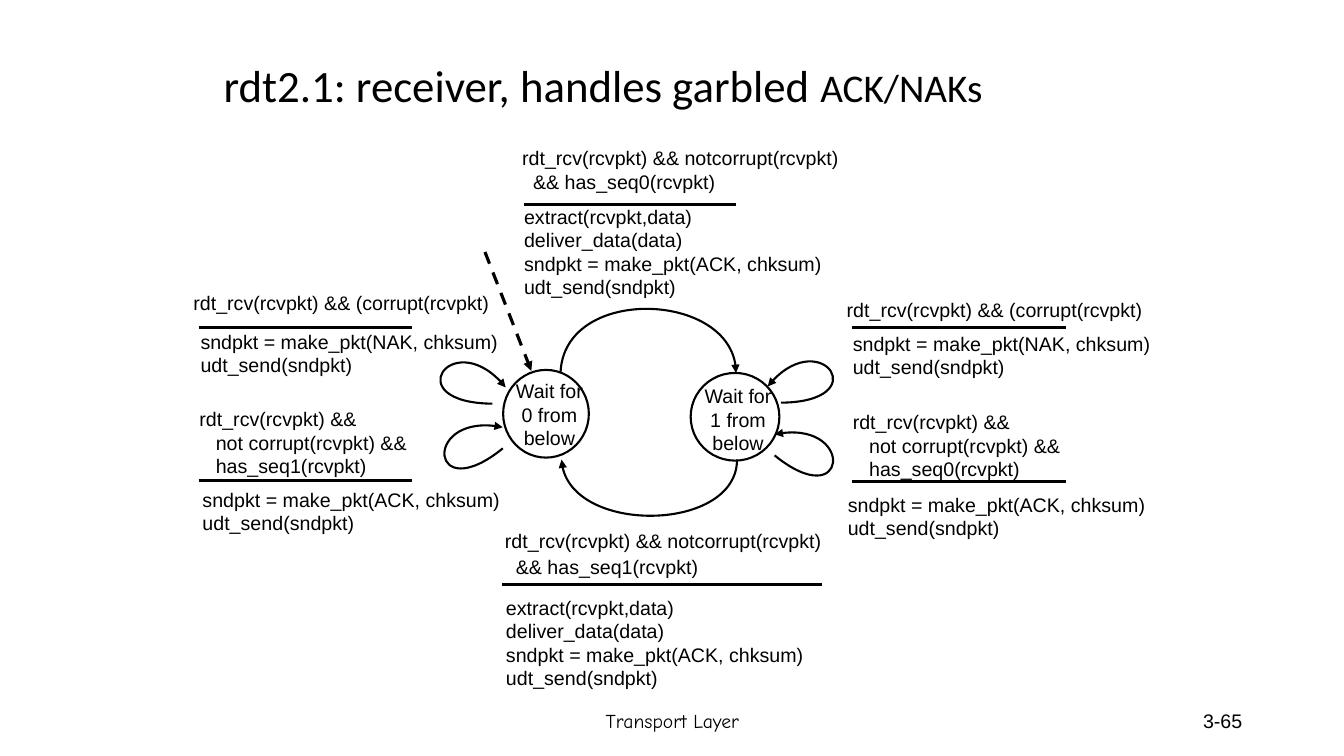
from lxml import etree
from pptx import Presentation
from pptx import util as u
from pptx.dml.color import RGBColor
from pptx.enum import dml, shapes, text
from pptx.oxml import ns

INK = RGBColor(0x00, 0x00, 0x00)
PAPER = RGBColor(0xFF, 0xFF, 0xFF)
CELL = u.Inches(0.1)
LOOP_WIDTH = 9.2
LOOP_CURVE = ((0.6, 5.9), (9.2, 9.4), (7.2, 0), (0, 3.9))

NAK_ACTION = ["sndpkt = make_pkt(NAK, chksum)", "udt_send(sndpkt)"]
ACK_ACTION = ["sndpkt = make_pkt(ACK, chksum)", "udt_send(sndpkt)"]
DELIVER_ACTION = ["extract(rcvpkt,data)", "deliver_data(data)"] + ACK_ACTION
CORRUPT = ["rdt_rcv(rcvpkt) && (corrupt(rcvpkt)"]


def expected(seq):
    return ["rdt_rcv(rcvpkt) && notcorrupt(rcvpkt)", f"&& has_seq{seq}(rcvpkt)"]


def duplicate(seq):
    return ["rdt_rcv(rcvpkt) &&", "not corrupt(rcvpkt) &&", f"has_seq{seq}(rcvpkt)"]


def cells(*values):
    return [round(value * CELL) for value in values]


class StateDiagram:
    font = "Arial"
    size = 14
    thin = 1.5
    thick = 2.25

    def __init__(self, slide):
        self.slide = slide

    def label(self, box, lines, align=text.PP_ALIGN.LEFT, anchor=text.MSO_ANCHOR.TOP,
              font=None, size=None, indent=0, gap=0, parent=None):
        holder = parent or self.slide
        frame = holder.shapes.add_textbox(*cells(*box)).text_frame
        frame.word_wrap = True
        frame.vertical_anchor = anchor
        frame.text = "\n".join(lines)
        for number, paragraph in enumerate(frame.paragraphs):
            paragraph.alignment = align
            if number:
                paragraph.space_before = u.Pt(gap)
                paragraph._p.get_or_add_pPr().set("marL", str(u.Pt(indent)))
            for run in paragraph.runs:
                self.style(run, font or self.font, size or self.size)
        return frame

    def style(self, run, font, size):
        run.font.name = font
        run.font.size = u.Pt(size)
        run.font.color.rgb = INK

    def title(self, box, main, ending):
        frame = self.label(box, [main], anchor=text.MSO_ANCHOR.MIDDLE,
                           font="Calibri", size=32)
        heading = frame.paragraphs[0]
        heading.line_spacing = 0.9
        tail = heading.add_run()
        tail.text = ending
        self.style(tail, "Calibri", 28)

    def stroke(self, shape, width, arrow=None, dashed=False):
        shape.line.color.rgb = INK
        shape.line.width = u.Pt(width)
        if dashed:
            shape.line.dash_style = dml.MSO_LINE.DASH
        if arrow:
            outline = shape.line._get_or_add_ln()
            etree.SubElement(outline, ns.qn(f"a:{arrow}End"), type="triangle")

    def line(self, start, end, arrow=None, dashed=False):
        connector = self.slide.shapes.add_connector(
            shapes.MSO_CONNECTOR.STRAIGHT, *cells(*start, *end))
        self.stroke(connector, self.thick, arrow, dashed)
        etree.SubElement(connector._element.spPr, ns.qn("a:effectLst"))

    def state(self, circle_box, name_box, name):
        group = self.slide.shapes.add_group_shape()
        circle = group.shapes.add_shape(shapes.MSO_SHAPE.OVAL, *cells(*circle_box))
        circle.shadow.inherit = False
        circle.fill.solid()
        circle.fill.fore_color.rgb = PAPER
        self.stroke(circle, self.thin)
        self.label(name_box, name, align=text.PP_ALIGN.CENTER, parent=group)

    def curve(self, controls, arrow="tail", rotation=0):
        start, *rest = [cells(*point) for point in controls]
        builder = self.slide.shapes.build_freeform(*start)
        builder.add_line_segments(rest, close=False)
        arc = builder.convert_to_shape()
        segments = list(arc._element.iter(ns.qn("a:lnTo")))
        bezier = etree.SubElement(segments[0].getparent(), ns.qn("a:cubicBezTo"))
        for segment in segments:
            bezier.append(segment[0])
            segment.getparent().remove(segment)
        arc.rotation = rotation
        arc.shadow.inherit = False
        arc.fill.background()
        self.stroke(arc, self.thin, arrow)

    def loop(self, left, top, rotation, mirrored=False):
        self.curve([(left + (LOOP_WIDTH - x if mirrored else x), top + y)
                    for x, y in LOOP_CURVE], rotation=rotation)

    def transition(self, event_box, event, rule, action_box, action, indent=0, gap=0):
        left, right, row = rule
        self.label(event_box, event, indent=indent, gap=gap)
        self.line((left, row), (right, row))
        self.label(action_box, action)


def main():
    deck = Presentation()
    deck.slide_width, deck.slide_height = u.Inches(13.33), u.Inches(7.5)
    diagram = StateDiagram(deck.slides.add_slide(deck.slide_layouts[6]))

    diagram.label((44.2, 69.5, 45, 4), ["Transport Layer"], font="Comic Neue",
                  align=text.PP_ALIGN.CENTER, anchor=text.MSO_ANCHOR.MIDDLE)
    diagram.label((94.2, 69.5, 30, 4), ["3-65"],
                  align=text.PP_ALIGN.RIGHT, anchor=text.MSO_ANCHOR.MIDDLE)
    diagram.title((21.2, 2.5, 91, 12.5), "rdt2.1: receiver, handles garbled ", "ACK/NAKs")

    diagram.state((49.9, 36.7, 8.5, 8.7), (50.1, 37.1, 8.8, 6.7), ["Wait for ", "0 from below"])
    diagram.state((68.5, 37, 8.8, 8.7), (68.8, 37.6, 8.8, 6.7), ["Wait for ", "1 from below"])
    diagram.line((48.1, 25), (52.7, 36.8), arrow="tail", dashed=True)

    diagram.curve(((55.6, 37), (55.9, 28.4), (73, 28.9), (73, 37)))
    diagram.curve(((55.7, 45.6), (56.1, 53.1), (73.1, 52.7), (73.1, 45.6)), arrow="head")
    diagram.loop(76.1, 32.6, 337.3)
    diagram.loop(76.4, 40.5, 17)
    diagram.loop(41.1, 39.8, 343, mirrored=True)
    diagram.loop(41, 32.7, 22.7, mirrored=True)

    diagram.transition((50.8, 14, 43.5, 6.2), expected(0), (52, 73, 20.3),
                       (51, 19.8, 38, 7.7), DELIVER_ACTION, indent=7.8)
    diagram.transition((49.1, 51.95, 39.2, 6.2), expected(1), (49.8, 81.5, 58),
                       (49.2, 58.6, 42.1, 10.9), DELIVER_ACTION, indent=7.8, gap=1.7)
    diagram.transition((18.2, 28.4, 31.4, 6.7), CORRUPT, (19.7, 40.9, 32.5),
                       (18.9, 32.2, 33.1, 4.5), NAK_ACTION)
    diagram.transition((83, 29.1, 31.4, 6.7), CORRUPT, (84.5, 105.7, 32.5),
                       (83.6, 32.4, 33.1, 4.5), NAK_ACTION)
    diagram.transition((18.8, 39.9, 28.7, 6.7), duplicate(1), (19.7, 40.9, 47.7),
                       (19.1, 47.9, 32.2, 4.5), ACK_ACTION, indent=11.7)
    diagram.transition((83.6, 40.2, 28.7, 6.7), duplicate(0), (84.5, 105.7, 47.8),
                       (83.1, 48.4, 32.2, 4.5), ACK_ACTION, indent=11.7)

    deck.save("out.pptx")


if __name__ == "__main__":
    main()
